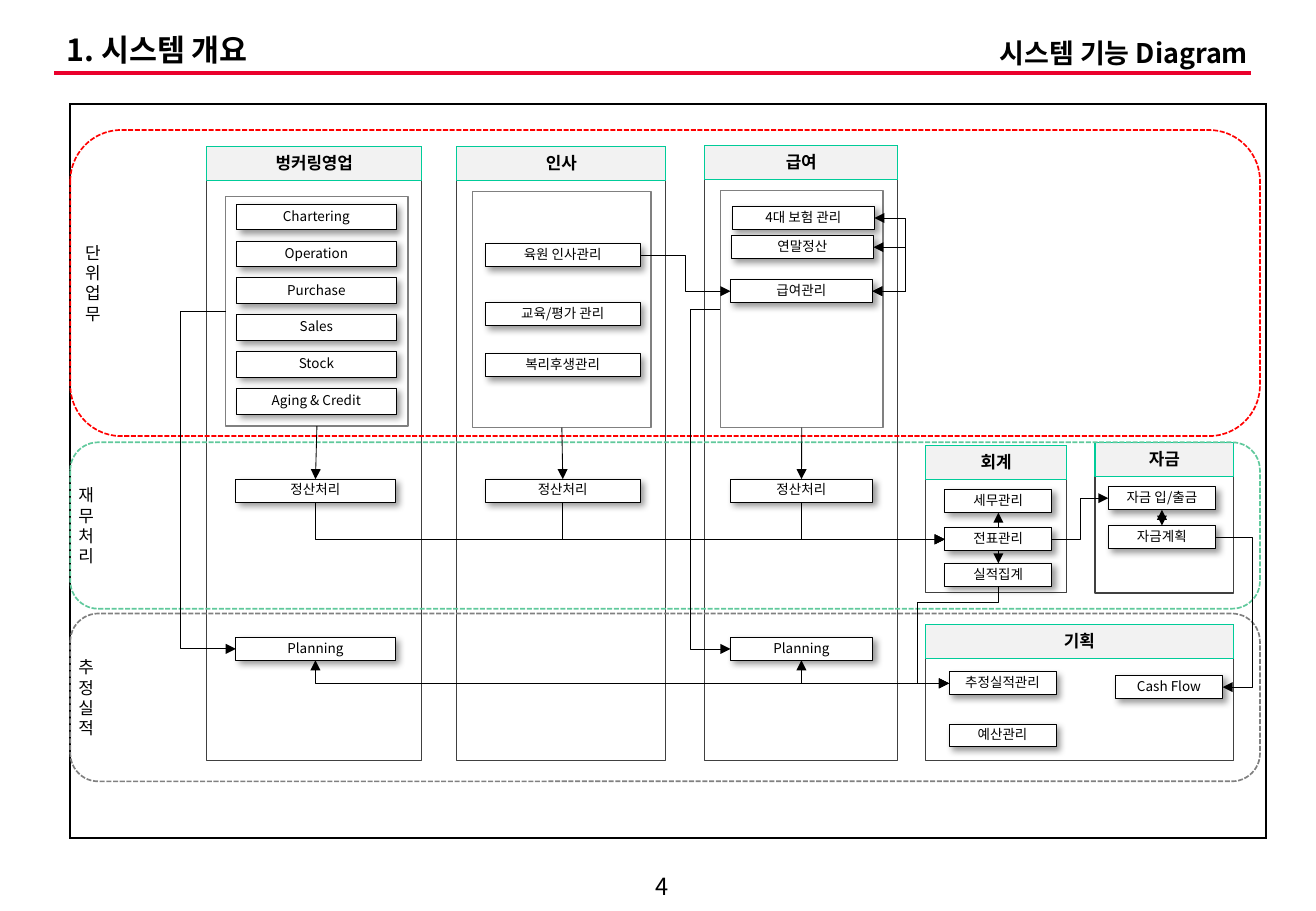
from lxml import etree
from pptx import Presentation
from pptx import util as u
from pptx.dml.color import RGBColor
from pptx.enum import dml, shapes, text
from pptx.oxml.ns import qn

FONT = "Noto Sans CJK KR"
TOP, LEFT, BOTTOM, RIGHT = range(4)
PLAIN = {"size": u.Pt(10), "bold": False}
HEADING = {"size": u.Pt(10), "bold": True}
SMALL = {"size": u.Pt(8), "bold": False}
MIDDLE = text.MSO_ANCHOR.MIDDLE


def color(value):
    return RGBColor.from_string(value)


def insets(side, end):
    return {"margin_left": u.Cm(side), "margin_right": u.Cm(side),
            "margin_top": u.Cm(end), "margin_bottom": u.Cm(end)}


def apply(target, values):
    for name, value in values.items():
        setattr(target, name, value)


def add_xml(parent, tag, **attributes):
    return etree.SubElement(parent, qn(tag), attributes)


class Diagram:
    """Draws the styled elements of a function diagram on the current page."""

    def __init__(self, page):
        self.page = page

    def fill_text(self, frame, lines, font, align, spacing=None, **frame_format):
        apply(frame, {"word_wrap": True, **frame_format})
        for index, line in enumerate(lines):
            para = frame.add_paragraph() if index else frame.paragraphs[0]
            apply(para, {"alignment": align, "line_spacing": spacing})
            span = para.add_run()
            span.text = line
            apply(span.font, {"name": FONT, **font})
            span.font.color.rgb = color("000000")
            add_xml(span.font._element, "a:ea", typeface=FONT)

    def label(self, place, line, size, bold, align, **frame_format):
        box = self.page.shapes.add_textbox(*map(u.Cm, place))
        self.fill_text(box.text_frame, [line],
                       {"size": u.Pt(size), "bold": bold}, align, **frame_format)

    def shape(self, place, line, width=0.75, fill=None, kind="RECTANGLE"):
        box = self.page.shapes.add_shape(
            shapes.MSO_SHAPE[kind], *map(u.Cm, place))
        box.shadow.inherit = False
        if fill:
            box.fill.solid()
            box.fill.fore_color.rgb = color(fill)
        else:
            box.fill.background()
        box.line.color.rgb = color(line)
        box.line.width = u.Pt(width)
        return box

    def panel(self, title, left, top, width, height):
        self.shape((left, top, width, height), "404040")
        head = self.shape((left, top, width, 0.71), "00CC99", fill="F2F2F2")
        self.fill_text(head.text_frame, [title], HEADING, text.PP_ALIGN.CENTER,
                       word_wrap=False, vertical_anchor=text.MSO_ANCHOR.TOP,
                       **insets(0.1, 0.13))

    def band(self, title, top, height, line):
        box = self.shape((1.47, top, 24.87, height), line, 1,
                         kind="ROUNDED_RECTANGLE")
        box.line.dash_style = dml.MSO_LINE.SQUARE_DOT
        self.fill_text(box.text_frame, title, PLAIN, text.PP_ALIGN.LEFT,
                       vertical_anchor=MIDDLE, **insets(0, 0))

    def function(self, title, place):
        box = self.shape(place, "000000", 0.5, "FFFFFF")
        effects = box._element.spPr.find(qn("a:effectLst"))
        shadow = add_xml(effects, "a:outerShdw", blurRad="50800", dist="38100",
                         dir="2700000", algn="tl", rotWithShape="0")
        tint = add_xml(shadow, "a:srgbClr", val="000000")
        add_xml(tint, "a:alpha", val="40000")
        self.fill_text(box.text_frame, [title], SMALL, text.PP_ALIGN.CENTER,
                       0.9, vertical_anchor=MIDDLE, **insets(0.05, 0.1))
        return box

    def line(self, start, end, kind="STRAIGHT", stroke="000000", width=0.5):
        link = self.page.shapes.add_connector(
            shapes.MSO_CONNECTOR[kind], *map(u.Cm, start + end))
        link.line.color.rgb = color(stroke)
        link.line.width = u.Pt(width)
        add_xml(link._element.spPr, "a:effectLst")
        return link

    def arrow(self, begin, end, ends=("tail",), kind="STRAIGHT"):
        link = self.line((0, 0), (0, 0), kind)
        link.begin_connect(*begin)
        link.end_connect(*end)
        stroke = link._element.spPr.find(qn("a:ln"))
        for name in ends:
            add_xml(stroke, f"a:{name}End", type="triangle")
        return link

    def elbow(self, begin, end, ends=("tail",), turns=()):
        link = self.arrow(begin, end, ends, "ELBOW")
        geometry = link._element.spPr.find(qn("a:prstGeom"))
        geometry.set("prst", f"bentConnector{len(turns) + 2}")
        guides = geometry.find(qn("a:avLst"))
        spans = ((link.begin_x, link.end_x), (link.begin_y, link.end_y))
        for index, (turn, (first, last)) in enumerate(zip(turns, spans), 1):
            ratio = round((u.Cm(turn) - first) / (last - first) * 100000)
            add_xml(guides, "a:gd", name=f"adj{index}", fmla=f"val {ratio}")

    def border_table(self, place):
        table = self.page.shapes.add_table(1, 1, *map(u.Cm, place)).table
        cell = table.cell(0, 0)
        props = cell._tc.get_or_add_tcPr()
        for side in ("lnL", "lnR", "lnT", "lnB"):
            edge = add_xml(props, f"a:{side}", w=str(u.Pt(1.5)))
            add_xml(add_xml(edge, "a:solidFill"), "a:srgbClr", val="000000")
        cell.fill.solid()
        cell.fill.fore_color.rgb = color("FFFFFF")


deck = Presentation()
deck.slide_width, deck.slide_height = u.Cm(27.51), u.Cm(19.05)
diagram = Diagram(deck.slides.add_slide(deck.slide_layouts[6]))

diagram.label((12.95, 18.14, 1.8, 0.79), "4", 14, False,
              text.PP_ALIGN.CENTER, vertical_anchor=MIDDLE)
diagram.line((1.14, 1.52), (26.16, 1.52), stroke="EA002C", width=2.25)
diagram.border_table((1.47, 2.18, 25, 15.34))
diagram.label((19.38, 0.64, 6.96, 0.94), "시스템 기능 Diagram", 16, True,
              text.PP_ALIGN.RIGHT)
diagram.label((1.14, 0.61, 18, 0.94), "1. 시스템 개요", 18, True,
              text.PP_ALIGN.LEFT, spacing=0.9, vertical_anchor=MIDDLE)

for panel in (("회계", 19.35, 9.32, 2.95, 3.07),
              ("기획", 19.35, 13.06, 6.43, 2.84),
              ("자금", 22.89, 9.25, 2.9, 3.15),
              ("인사", 9.55, 3.07, 4.37, 12.83),
              ("급여", 14.73, 3.05, 4.04, 12.85),
              ("벙커링영업", 4.32, 3.07, 4.5, 12.83)):
    diagram.panel(*panel)

for band in (("단위업무", 2.72, 6.4, "FF0000"),
             ("재무처리", 9.25, 3.48, "60C99C"),
             ("추정실적", 12.83, 3.51, "808080")):
    diagram.band(*band)

frames = {name: diagram.shape(place, "808080") for name, place in (
    ("벙커링영업", (4.72, 4.11, 3.81, 4.8)),
    ("인사", (9.88, 4.01, 3.73, 4.93)),
    ("급여", (15.06, 3.99, 3.4, 4.95)))}

sales = ("Chartering", "Operation", "Purchase", "Sales", "Stock",
         "Aging & Credit")
sales_rows = [(name, 4.27 + 0.77 * row) for row, name in enumerate(sales)]
settle, plan = ("정산처리", 10.02), ("Planning", 13.33)
boxes = {}
for panel, left, width, height, rows in (
        ("벙커링영업", 4.95, 3.33, 0.54, sales_rows),
        ("벙커링영업", 4.93, 3.33, 0.48, [settle, plan]),
        ("인사", 10.15, 3.23, 0.48, [("육원 인사관리", 5.1),
         ("교육/평가 관리", 6.33), ("복리후생관리", 7.4), settle]),
        ("급여", 15.31, 2.97, 0.48, [("4대 보험 관리", 4.32)]),
        ("급여", 15.29, 2.97, 0.48, [("연말정산", 4.93)]),
        ("급여", 15.27, 2.97, 0.48, [("급여관리", 5.85), settle, plan]),
        ("회계", 19.75, 2.24, 0.48, [("세무관리", 10.24),
         ("전표관리", 11.04), ("실적집계", 11.78)]),
        ("자금", 23.17, 2.24, 0.48, [("자금 입/출금", 10.18),
         ("자금계획", 10.99)]),
        ("기획", 19.84, 2.24, 0.48, [("추정실적관리", 14.05),
         ("예산관리", 15.14)]),
        ("기획", 23.32, 2.24, 0.48, [("Cash Flow", 14.13)])):
    for title, top in rows:
        boxes[panel, title] = diagram.function(
            title, (left, top, width, height))

both = ("head", "tail")
voucher, result = boxes["회계", "전표관리"], boxes["회계", "실적집계"]
deposit, funding = boxes["자금", "자금 입/출금"], boxes["자금", "자금계획"]
forecast, payroll = boxes["기획", "추정실적관리"], boxes["급여", "급여관리"]

for panel, frame in frames.items():
    settlement = boxes[panel, "정산처리"]
    diagram.arrow((frame, BOTTOM), (settlement, TOP))
    diagram.elbow((voucher, LEFT), (settlement, BOTTOM), ("head",))
for panel, turn in (("벙커링영업", 3.78), ("급여", 14.43)):
    planning = boxes[panel, "Planning"]
    diagram.elbow((forecast, LEFT), (planning, BOTTOM), both)
    diagram.elbow((frames[panel], LEFT), (planning, LEFT), turns=[turn])
for title in ("4대 보험 관리", "연말정산"):
    diagram.elbow((boxes["급여", title], RIGHT), (payroll, RIGHT), both, [18.92])

diagram.arrow((voucher, TOP), (boxes["회계", "세무관리"], BOTTOM))
diagram.arrow((voucher, BOTTOM), (result, TOP))
diagram.arrow((deposit, BOTTOM), (funding, TOP), both)
diagram.elbow((boxes["인사", "육원 인사관리"], RIGHT), (payroll, LEFT),
              turns=[14.33])
diagram.elbow((voucher, RIGHT), (deposit, LEFT), turns=[22.58])
diagram.elbow((funding, RIGHT), (boxes["기획", "Cash Flow"], RIGHT),
              turns=[26.19])
diagram.elbow((forecast, LEFT), (result, BOTTOM), ("head",), [19.18, 12.6])

deck.save("out.pptx")
